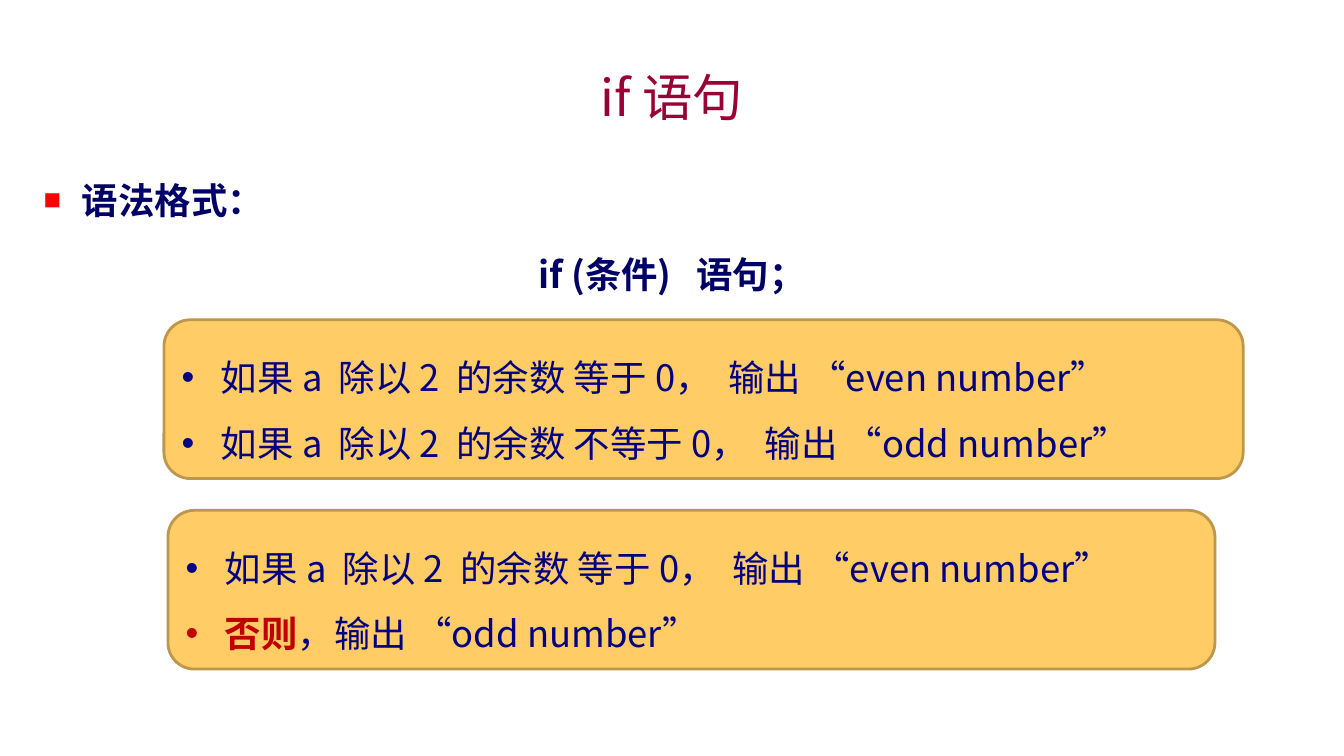
from dataclasses import dataclass

from lxml import etree
from pptx import Presentation, util as u
from pptx.dml.color import RGBColor
from pptx.enum import shapes, text
from pptx.oxml.ns import qn

WIDTH, HEIGHT = 13.33, 7.5


@dataclass(frozen=True)
class Theme:
    """Colours and type sizes of the slide."""
    font: str = "Noto Sans CJK SC"
    title: str = "990033"
    heading: str = "000066"
    rule: str = "000080"
    accent: str = "C00000"
    marker: str = "FF0000"
    panel: str = "FFCC66"
    edge: str = "BD974B"
    title_size: int = 36
    text_size: int = 26
    space_width: float = 5.8


THEME = Theme()
EVEN_RULE = "如果 a|除以 2|的余数 等于 0，|输出 “even number”"
ODD_RULE = "如果 a|除以 2|的余数 不等于 0，|输出 “odd number”"


def place(left, top, width, height):
    """Turn shares of the slide into lengths."""
    return [u.Inches(share * side) for share, side in
            zip((left, top, width, height), (WIDTH, HEIGHT) * 2)]


def apply(target, **values):
    """Set each given attribute on the target."""
    for name, value in values.items():
        setattr(target, name, value)


def add_span(para, words, color, size=THEME.text_size, bold=False, gap=0):
    """Add one styled span, optionally with extra letter spacing."""
    span = para.add_run()
    span.text = words
    apply(span.font, name=THEME.font, size=u.Pt(size), bold=bold)
    span.font.color.rgb = RGBColor.from_string(color)
    props = span._r.get_or_add_rPr()
    etree.SubElement(props, qn("a:ea"), typeface=THEME.font)
    if gap:
        props.set("spc", str(round(gap * 100)))


def add_spaced(para, words, color, bold=False, extra=1):
    """Add text whose bars stand for widened spaces."""
    for index, piece in enumerate(words.split("|")):
        if index:
            add_span(para, " ", color, bold=bold, gap=extra * THEME.space_width)
        add_span(para, piece, color, bold=bold)


def add_bullet(para, sign, indent, color=None, share=100):
    """Give a paragraph a hanging bullet."""
    props = para._p.get_or_add_pPr()
    props.set("marL", str(u.Inches(indent)))
    props.set("indent", str(-u.Inches(indent)))
    if color:
        fill = etree.SubElement(props, qn("a:buClr"))
        etree.SubElement(fill, qn("a:srgbClr"), val=color)
    etree.SubElement(props, qn("a:buSzPct"), val=str(share * 1000))
    etree.SubElement(props, qn("a:buFont"), typeface="Arial")
    etree.SubElement(props, qn("a:buChar"), char=sign)


def add_title(page, words):
    """Add the centred title."""
    frame = page.shapes.add_textbox(*place(0.075, 0.077, 0.85, 0.1)).text_frame
    apply(frame, word_wrap=True, vertical_anchor=text.MSO_ANCHOR.MIDDLE)
    para = frame.paragraphs[0]
    para.alignment = text.PP_ALIGN.CENTER
    add_span(para, words, THEME.title, THEME.title_size)


def add_syntax(page, heading, pattern):
    """Add the bulleted heading and the centred statement pattern."""
    frame = page.shapes.add_textbox(*place(0.025, 0.2, 0.95, 0.2)).text_frame
    frame.word_wrap = True
    first, second = frame.paragraphs[0], frame.add_paragraph()
    apply(first, line_spacing=1.5)
    apply(second, line_spacing=1.5, space_before=u.Pt(6),
          alignment=text.PP_ALIGN.CENTER)
    add_bullet(first, "■", 0.38, THEME.marker, 80)
    add_span(first, heading, THEME.heading, bold=True)
    add_spaced(second, pattern, THEME.heading, bold=True, extra=2)


def add_panel(page, left, top, width, lines):
    """Add a rounded panel of bulleted lines made of styled parts."""
    panel = page.shapes.add_shape(shapes.MSO_SHAPE.ROUNDED_RECTANGLE,
                                  *place(left, top, width, 0.21))
    panel.shadow.inherit = False
    panel.fill.solid()
    panel.fill.fore_color.rgb = RGBColor.from_string(THEME.panel)
    panel.line.color.rgb = RGBColor.from_string(THEME.edge)
    panel.line.width = u.Pt(2)
    frame = panel.text_frame
    apply(frame, word_wrap=True, vertical_anchor=text.MSO_ANCHOR.MIDDLE)
    for index, parts in enumerate(lines):
        para = frame.add_paragraph() if index else frame.paragraphs[0]
        apply(para, line_spacing=1.5, alignment=text.PP_ALIGN.LEFT)
        add_bullet(para, "•", 0.39)
        for words, color, bold in parts:
            add_spaced(para, words, color, bold)


def main():
    """Build and save the slide."""
    deck = Presentation()
    apply(deck, slide_width=u.Inches(WIDTH), slide_height=u.Inches(HEIGHT))
    page = deck.slides.add_slide(deck.slide_layouts[6])
    even = [(EVEN_RULE, THEME.rule, False)]
    odd = [(ODD_RULE, THEME.rule, False)]
    otherwise = [("否则", THEME.accent, True),
                 ("，输出 “odd number”", THEME.rule, False)]
    add_title(page, "if 语句")
    add_syntax(page, "语法格式：", "if (条件)|语句；")
    add_panel(page, 0.122, 0.423, 0.803, [even, odd])
    add_panel(page, 0.125, 0.675, 0.779, [even, otherwise])
    deck.save("out.pptx")


if __name__ == "__main__":
    main()
